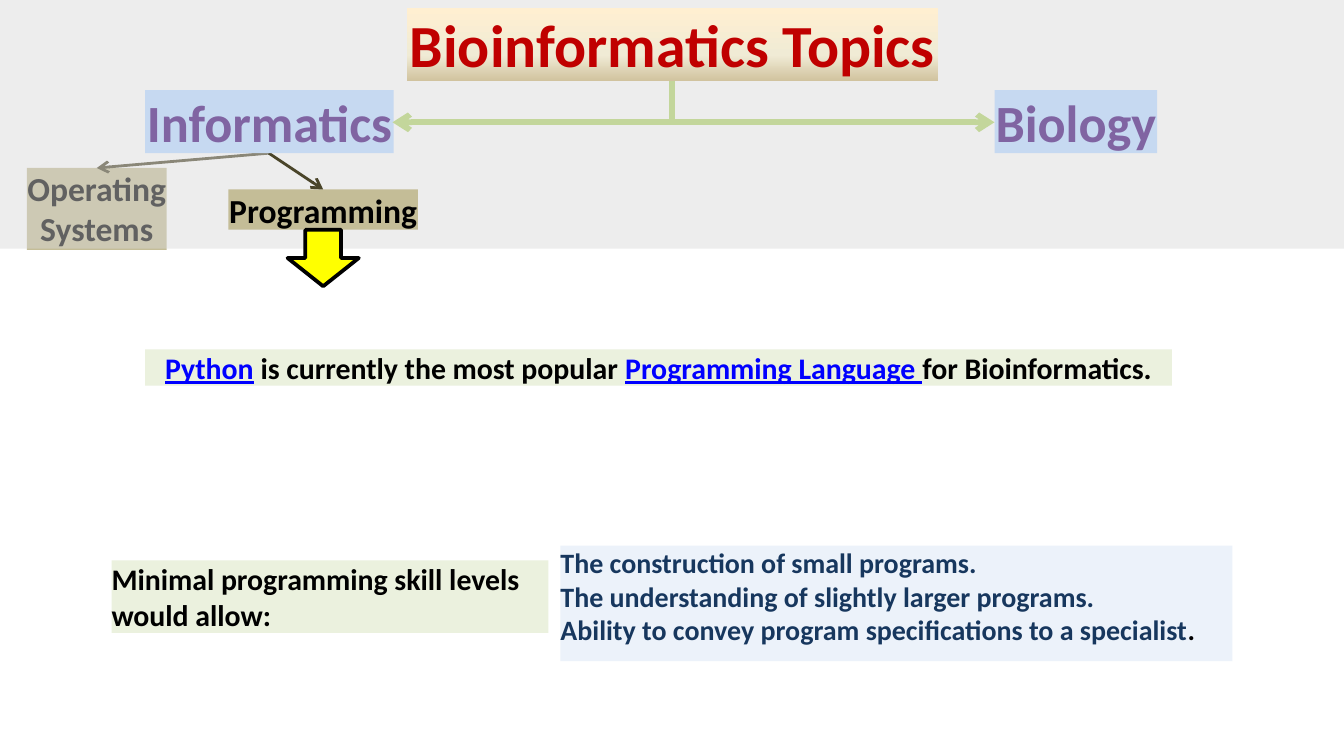
import lxml.etree
import pptx
import pptx.util
import pptx.dml.color
import pptx.enum.shapes
import pptx.enum.text
import pptx.oxml.ns

Inches = pptx.util.Inches
Kind = pptx.enum.shapes.MSO_SHAPE
Link = pptx.enum.shapes.MSO_CONNECTOR
Align = pptx.enum.text.PP_ALIGN
Fit = pptx.enum.text.MSO_AUTO_SIZE
qn = pptx.oxml.ns.qn

BLACK, BLUE, NAVY = "000000", "0000FF", "17375E"
TAN, SKY, MINT, PURPLE = "C4BD97", "C6D9F1", "EBF1DE", "8064A2"
BROWN, GREEN = "4A452A", "C3D69B"

TOPIC = dict(size=18, fill=TAN)
FIELD = dict(size=28, fill=SKY, color=PURPLE)
SYSTEMS = dict(at=(0.2, 1.25, 1.04, 0.61), lines=["Operating", "Systems"], **TOPIC)
CODING = dict(at=(1.7, 1.41, 1.41, 0.3), lines=["Programming"], **TOPIC)
PYTHON = dict(at=(1.08, 2.6, 7.64, 0.27), size=16, fill=MINT, wrap=True, lines=[[
    ("Python", BLUE), (" is currently the most popular ", BLACK),
    ("Programming Language ", BLUE), ("for Bioinformatics.", BLACK)]])
SKILLS = dict(at=(0.83, 4.17, 3.25, 0.54), size=16, fill=MINT, wrap=True, left=True,
              lines=["Minimal programming skill levels", "would allow:"])
GAINS = dict(at=(4.17, 4.06, 5, 0.86), size=15, fill=SKY, alpha=33, color=NAVY,
             wrap=True, left=True, foot=0.1, lines=[
                 "The construction of small programs.",
                 "The understanding of slightly larger programs.",
                 [("Ability to convey program specifications to a specialist", NAVY),
                  (".", BLACK)]])
TITLE = dict(at=(3.03, 0.06, 3.95, 0.54), size=32, color="C00000",
             lines=["Bioinformatics Topics"])
FIELDS = [dict(at=(1.08, 0.67, 1.85, 0.47), lines=["Informatics"], **FIELD),
          dict(at=(7.4, 0.67, 1.21, 0.47), lines=["Biology"], **FIELD)]
STOPS = [(0, "FFEFD1"), (65, "F0EBD5"), (100, "D1C39F")]
ROOT, FORK = (2, 1.14), (5, 0.6)
TIPS, TIP_Y = (2.92, 7.4), 0.91

deck = pptx.Presentation()
deck.slide_width, deck.slide_height = Inches(10), Inches(10 * 9 / 16)
slide = deck.slides.add_slide(deck.slide_layouts[1])
shapes = slide.shapes
title, body = slide.placeholders


def rgb(code):
    return pptx.dml.color.RGBColor.from_string(code)


def add_xml(parent, tag, **attrs):
    return lxml.etree.SubElement(parent, qn(tag), **attrs)


def paint(shape, code, alpha=None):
    shape.fill.solid()
    shape.fill.fore_color.rgb = rgb(code)
    if alpha:
        tint = shape._element.spPr.find(qn("a:solidFill"))[0]
        add_xml(tint, "a:alpha", val=str(alpha * 1000))


def shade(shape):
    grad = add_xml(shape._element.spPr, "a:gradFill")
    stops = add_xml(grad, "a:gsLst")
    for pos, code in STOPS:
        stop = add_xml(stops, "a:gs", pos=str(pos * 1000))
        add_xml(stop, "a:srgbClr", val=code)
    add_xml(grad, "a:lin", ang="5400000", scaled="0")


def block(at, kind=Kind.RECTANGLE, fill=None, alpha=None):
    shape = shapes.add_shape(kind, *map(Inches, at))
    shape.shadow.inherit = False
    shape.line.fill.background()
    if fill:
        paint(shape, fill, alpha)
    return shape


def label(at, lines, size, fill=None, color=BLACK, alpha=None,
          wrap=False, left=False, foot=0, holder=None):
    shape = holder or block(at)
    if holder:
        shapes._spTree.append(holder._element)
        holder.left, holder.top, holder.width, holder.height = map(Inches, at)
    if fill:
        paint(shape, fill, alpha)
    frame = shape.text_frame
    frame.margin_left = frame.margin_right = frame.margin_top = 0
    frame.margin_bottom = Inches(foot)
    frame.vertical_anchor = pptx.enum.text.MSO_ANCHOR.TOP
    frame.word_wrap = wrap
    frame.auto_size = Fit.NONE if holder else Fit.SHAPE_TO_FIT_TEXT
    for i, line in enumerate(lines):
        para = frame.add_paragraph() if i else frame.paragraphs[0]
        para.alignment = Align.LEFT if left else Align.CENTER
        para.space_before = pptx.util.Pt(0)
        if holder:
            props = para._p.get_or_add_pPr()
            props.set("marL", "0")
            props.set("indent", "0")
            add_xml(props, "a:buNone")
        for text, code in [(line, color)] if isinstance(line, str) else line:
            run = para.add_run()
            run.text = text
            font = run.font
            font.name, font.size, font.bold = "Calibri", pptx.util.Pt(size), True
            font.color.rgb = rgb(code)
            if code == BLUE:
                font.underline = True


def arrow(start, end, code, width, kind=Link.STRAIGHT):
    line = shapes.add_connector(kind, *map(Inches, (*start, *end)))
    line.line.color.rgb = rgb(code)
    line.line.width = pptx.util.Pt(width)
    props = line._element.spPr
    add_xml(props.find(qn("a:ln")), "a:tailEnd", type="arrow")
    add_xml(props, "a:effectLst")
    return line


def elbow(start, end):
    (x, y), (tip, base) = start, end
    mid_x, mid_y = (x + tip) / 2, (y + base) / 2
    half_w, half_h = (base - y) / 2, abs(tip - x) / 2
    side = 1 if tip < x else -1
    line = arrow((mid_x - side * half_w, mid_y - half_h),
                 (mid_x + side * half_w, mid_y + half_h), GREEN, 3, Link.ELBOW)
    props = line._element.spPr
    props.find(qn("a:prstGeom")).set("prst", "bentConnector2")
    turn = 90 if side > 0 else 270
    props.find(qn("a:xfrm")).set("rot", str(turn * 60000))


def top(item):
    x, y, width, height = item["at"]
    return x + width / 2, y


label(**SYSTEMS)
arrow(ROOT, top(SYSTEMS), BROWN, 1.5)
block((0, 0, 10, 1.85), fill="D9D9D9", alpha=45)
label(**CODING)
arrow(ROOT, top(CODING), BROWN, 1.5)
down = block((2.14, 1.71, 0.53, 0.42), Kind.DOWN_ARROW, "FFFF00")
down.line.color.rgb = rgb(BLACK)
down.line.width = pptx.util.Pt(2)
label(**PYTHON)
label(**SKILLS)
label(holder=body, **GAINS)
label(holder=title, **TITLE)
shade(title)
for field in FIELDS:
    label(**field)
for tip in TIPS:
    elbow(FORK, (tip, TIP_Y))

deck.save("out.pptx")
